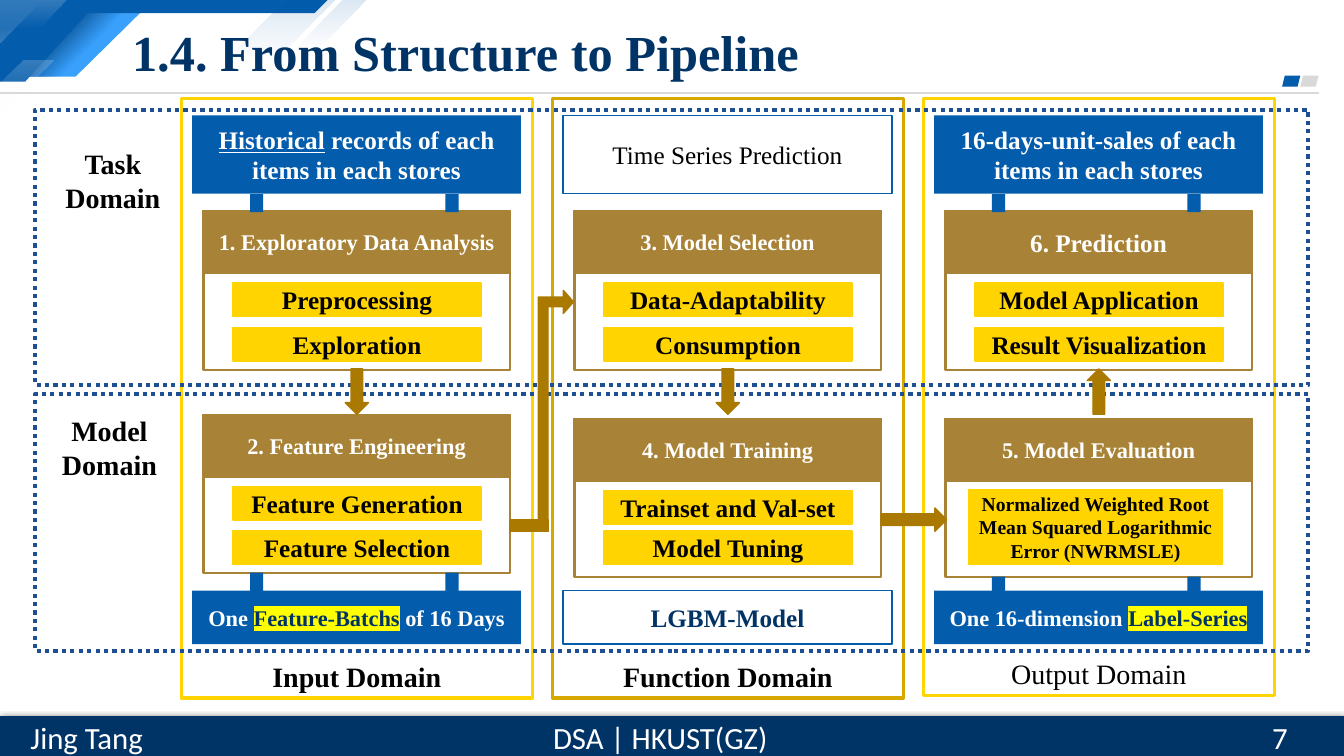
"""Build the slide 'From Structure to Pipeline'."""
from dataclasses import dataclass

import pptx
import pptx.dml.color
import pptx.enum.dml
import pptx.enum.shapes
import pptx.enum.text
import pptx.oxml
import pptx.oxml.ns
import pptx.util
from lxml import etree

Pt = pptx.util.Pt
SHAPE = pptx.enum.shapes.MSO_SHAPE
ANCHOR = pptx.enum.text.MSO_ANCHOR
ALIGN = pptx.enum.text.PP_ALIGN
qn = pptx.oxml.ns.qn


@dataclass(frozen=True)
class Theme:
    """Colours, fonts and type sizes of the slide."""
    navy: str = "003366"
    blue: str = "035CAC"
    deep: str = "024581"
    sky: str = "39A0FC"
    dots: str = "1D4F92"
    bronze: str = "A88337"
    arrow: str = "AA7900"
    ochre: str = "D7A800"
    gold: str = "FFD400"
    marker: str = "FFFF00"
    grey: str = "D9D9D9"
    white: str = "FFFFFF"
    black: str = "000000"
    serif: str = "Times New Roman"
    sans: str = "Calibri"
    title: int = 36
    footer: int = 22
    domain: int = 20
    body: int = 18
    small: int = 16
    tiny: int = 14


T = Theme()


def rgb(value):
    """Return a colour object for a hex string."""
    return pptx.dml.color.RGBColor.from_string(value)


def add_run(p, text, size, color, bold=True, font=T.serif, underline=False, marker=None):
    """Add one formatted run to a paragraph."""
    r = p.add_run()
    r.text = text
    r.font.size, r.font.bold, r.font.name = Pt(size), bold, font
    r.font.color.rgb = rgb(color)
    if underline:
        r.font.underline = True
    if marker:
        h = etree.Element(qn("a:highlight"))
        etree.SubElement(h, qn("a:srgbClr")).set("val", marker)
        r._r.rPr.find(qn("a:latin")).addprevious(h)


def write(sp, paragraphs, size, color, anchor=ANCHOR.MIDDLE, align=ALIGN.CENTER, inset=None, **style):
    """Write paragraphs, each a string or a list of (text, style) runs."""
    tf = sp.text_frame
    tf.word_wrap = True
    tf.vertical_anchor = anchor
    if inset is not None:
        tf.margin_left = tf.margin_right = tf.margin_top = tf.margin_bottom = Pt(inset)
    for i, runs in enumerate(paragraphs):
        p = tf.add_paragraph() if i else tf.paragraphs[0]
        p.alignment = align
        for text, extra in [(runs, {})] if isinstance(runs, str) else runs:
            add_run(p, text, size, **{"color": color, **style, **extra})


def paint(sp, fill=None, line=None, width=1):
    """Set fill and outline and take away the shadow."""
    sp.shadow.inherit = False
    if fill:
        sp.fill.solid()
        sp.fill.fore_color.rgb = rgb(fill)
    else:
        sp.fill.background()
    if line:
        sp.line.color.rgb = rgb(line)
        sp.line.width = Pt(width)
    else:
        sp.line.fill.background()
    return sp


def box(s, x, y, w, h, fill=None, line=None, width=1, kind=SHAPE.RECTANGLE):
    """Add a preset shape."""
    return paint(s.shapes.add_shape(kind, Pt(x), Pt(y), Pt(w), Pt(h)), fill, line, width)


def fade(sp, color, stops, angle):
    """Fill a shape with one colour at (position, opacity) percent stops."""
    grad = etree.Element(qn("a:gradFill"))
    gs_list = etree.SubElement(grad, qn("a:gsLst"))
    for position, opacity in stops:
        gs = etree.SubElement(gs_list, qn("a:gs"), pos=str(position * 1000))
        clr = etree.SubElement(gs, qn("a:srgbClr"), val=color)
        etree.SubElement(clr, qn("a:alpha"), val=str(opacity * 1000))
    etree.SubElement(grad, qn("a:lin"), ang=str(angle * 60000), scaled="0")
    sp_pr = sp._element.spPr
    sp_pr.replace(sp_pr.find(qn("a:noFill")), grad)


def polygon(s, points, fill=None):
    """Add a closed outline through the points."""
    (x, y), *rest = [(Pt(px), Pt(py)) for px, py in points]
    fb = s.shapes.build_freeform(x, y)
    fb.add_line_segments(rest, close=True)
    return paint(fb.convert_to_shape(), fill)


def label(s, x, y, w, h, paragraphs, size, color, **style):
    """Add a text box."""
    write(s.shapes.add_textbox(Pt(x), Pt(y), Pt(w), Pt(h)), paragraphs, size, color, **style)


def decoration(s):
    """Draw the corner ribbons, the title rule and the footer bar."""
    wedge = [(60.5, 5), (104.4, 5), (54, 54.7), (11.5, 54.7)]
    polygon(s, wedge, T.sky)
    fade(polygon(s, wedge), T.deep, [(29, 100), (57, 0)], 45)
    polygon(s, [(0, 0), (234, 0), (224.6, 9.4), (62.6, 9.4), (18, 58.3), (0, 58.3)], T.blue)
    corner = box(s, 0, 0, 30.2, 30.2, kind=SHAPE.RIGHT_TRIANGLE)
    corner._element.spPr.xfrm.set("flipV", "1")
    fade(corner, T.white, [(0, 20), (100, 0)], 90)
    for color, opacity, points in (
        (T.white, 20, [(0, 0), (47.5, 0), (28, 20.2), (0, 20.2)]),
        (T.blue, 15, [(204.5, 0), (239.8, 0), (195.8, 43.9), (160, 43.9)]),
        (T.blue, 15, [(244.8, 0), (262, 0), (226.8, 35.3), (209.5, 35.3)]),
        (T.white, 20, [(16.6, 43.2), (38.2, 43.2), (0, 81.4), (0, 59.8)]),
    ):
        fade(polygon(s, points), color, [(0, opacity), (100, 0)], 90)
    rule = s.shapes.add_connector(pptx.enum.shapes.MSO_CONNECTOR.STRAIGHT, 0, Pt(66.4), Pt(942.5), Pt(66.4))
    rule.line.color.rgb, rule.line.width = rgb(T.grey), Pt(1.5)
    etree.SubElement(rule._element.spPr, qn("a:effectLst"))
    for x, color in ((928.8, T.grey), (915.8, T.blue)):
        box(s, x, 54, 13, 7.9, color, kind=SHAPE.PARALLELOGRAM)
    bar = box(s, 0, 511.6, 960, 28.4, T.navy)
    shadow = etree.SubElement(bar._element.spPr.find(qn("a:effectLst")), qn("a:outerShdw"),
                              blurRad="57150", dist="19050", dir="5400000", algn="ctr", rotWithShape="0")
    clr = etree.SubElement(shadow, qn("a:srgbClr"), val=T.black)
    etree.SubElement(clr, qn("a:alpha"), val="63000")
    for x, w, text, align in ((386, 171.3, "DSA | HKUST(GZ)", ALIGN.CENTER),
                              (11.5, 100.8, "Jing Tang", ALIGN.CENTER), (901.5, 58.3, "7", ALIGN.LEFT)):
        label(s, x, 509.8, w, 33.8, [text], T.footer, T.white, bold=False, font=T.sans, align=align)


def stage(s, x, y, heading, chips, gap=31.7, size=T.small):
    """Draw one pipeline step with its heading and evenly spaced chips."""
    write(box(s, x + 15.3, y, 219.6, 44.6, T.bronze, T.bronze), [heading], size, T.white)
    box(s, x + 15.8, y + 44.6, 218.9, 69.1, line=T.bronze, width=1.5)
    for i, text in enumerate(chips):
        chip(s, x + 36.9, y + 51.8 + i * gap, 177.1, 23.8, text, T.body)


def chip(s, x, y, w, h, text, size):
    """Draw one yellow task chip."""
    write(box(s, x, y, w, h, T.gold, T.gold), [text], size, T.black, inset=0)


def main():
    """Build and save the slide."""
    prs = pptx.Presentation()
    prs.slide_width, prs.slide_height = Pt(960), Pt(540)
    s = prs.slides.add_slide(prs.slide_layouts[5])
    decoration(s)
    title = s.shapes.title
    title.left, title.top, title.width, title.height = Pt(87.1), Pt(12.2), Pt(735), Pt(49.7)
    write(title, ["1.4. From Structure to Pipeline"], T.title, T.navy, align=ALIGN.LEFT)
    s.shapes._spTree.append(title._element)

    left, middle, right = columns = [129.6 + 265 * i for i in range(3)]
    for x, h, text, color, bold in ((left, 428.4, "Input Domain", T.gold, True),
                                    (middle, 428.4, "Function Domain", T.ochre, True),
                                    (right, 426.5, "Output Domain", T.gold, False)):
        frame = box(s, x, 70.2, 250.6, h, line=color, width=2.25)
        write(frame, [text], T.domain, T.black, anchor=ANCHOR.BOTTOM, bold=bold)
    for y, h in ((78.5, 196.6), (281.5, 183.6)):
        band = box(s, 25.2, y, 909.4, h, line=T.dots, width=3)
        band.line.dash_style = pptx.enum.dml.MSO_LINE.ROUND_DOT
    label(s, 38.9, 100.1, 83.5, 57.6, ["Task Domain"], T.domain, T.black)
    label(s, 34.6, 300.2, 87.1, 38.9, ["Model", "Domain"], T.domain, T.black)

    marked = {"color": T.navy, "marker": T.marker}
    solid, hollow = (T.blue, None, T.white), (T.white, T.blue, T.black)
    tops = ([("Historical", {"underline": True}), (" records of each items in each stores", {})],
            [("Time Series Prediction", {"bold": False})],
            "16-days-unit-sales of each items in each stores")
    bottoms = ([("One ", {}), ("Feature-Batchs", marked), (" of 16 Days", {})],
               [("LGBM-Model", {"color": T.navy})],
               [("One 16-dimension ", {}), ("Label-Series", marked)])
    for x, top, bottom, look in zip(columns, tops, bottoms, (solid, hollow, solid)):
        fill, line, color = look
        write(box(s, x + 7.6, 82.4, 234.9, 56, fill, line), [top], T.body, color)
        size = T.body if look is hollow else T.small
        write(box(s, x + 7.6, 421.9, 234.9, 38.2, fill, line), [bottom], size, color)

    upper, lower_left, lower = 150.5, 295.9, 298.8
    stage(s, left, upper, "1. Exploratory Data Analysis", ["Preprocessing", "Exploration"])
    stage(s, left, lower_left, "2. Feature Engineering", ["Feature Generation", "Feature Selection"])
    stage(s, middle, upper, "3. Model Selection", ["Data-Adaptability", "Consumption"])
    stage(s, middle, lower, "4. Model Training", ["Trainset and Val-set", "Model Tuning"], gap=28.8)
    stage(s, right, lower, "5. Model Evaluation", [])
    chip(s, 691.9, 349.9, 181.4, 53.3,
         "Normalized Weighted Root Mean Squared Logarithmic Error (NWRMSLE)", T.tiny)
    stage(s, right, upper, "6. Prediction", ["Model Application", "Result Visualization"], size=T.body)

    for x, y in ((left, 409), (right, 411.8), (left, 138.6), (right, 138.6)):
        for offset in (49, 188.6):
            box(s, x + offset, y, 9.4, 13, T.blue)
    for x, kind in zip(columns, (SHAPE.DOWN_ARROW, SHAPE.DOWN_ARROW, SHAPE.UP_ARROW)):
        box(s, x + 117, 263.5, 16.6, 32.4, T.arrow, T.arrow, kind=kind)
    box(s, 629.3, 362.9, 46.8, 16.6, T.arrow, T.arrow, kind=SHAPE.RIGHT_ARROW)
    elbow = box(s, 311.8, 280.1, 170.6, 25.2, T.arrow, T.arrow, kind=SHAPE.BENT_UP_ARROW)
    for i, value in enumerate((0.277, 0.326, 0.288)):
        elbow.adjustments[i] = value
    elbow.rotation = 90
    elbow._element.spPr.xfrm.set("flipH", "1")
    box(s, 364.3, 371.5, 27.4, 7.9, T.arrow, T.arrow)
    prs.save("out.pptx")


if __name__ == "__main__":
    main()
